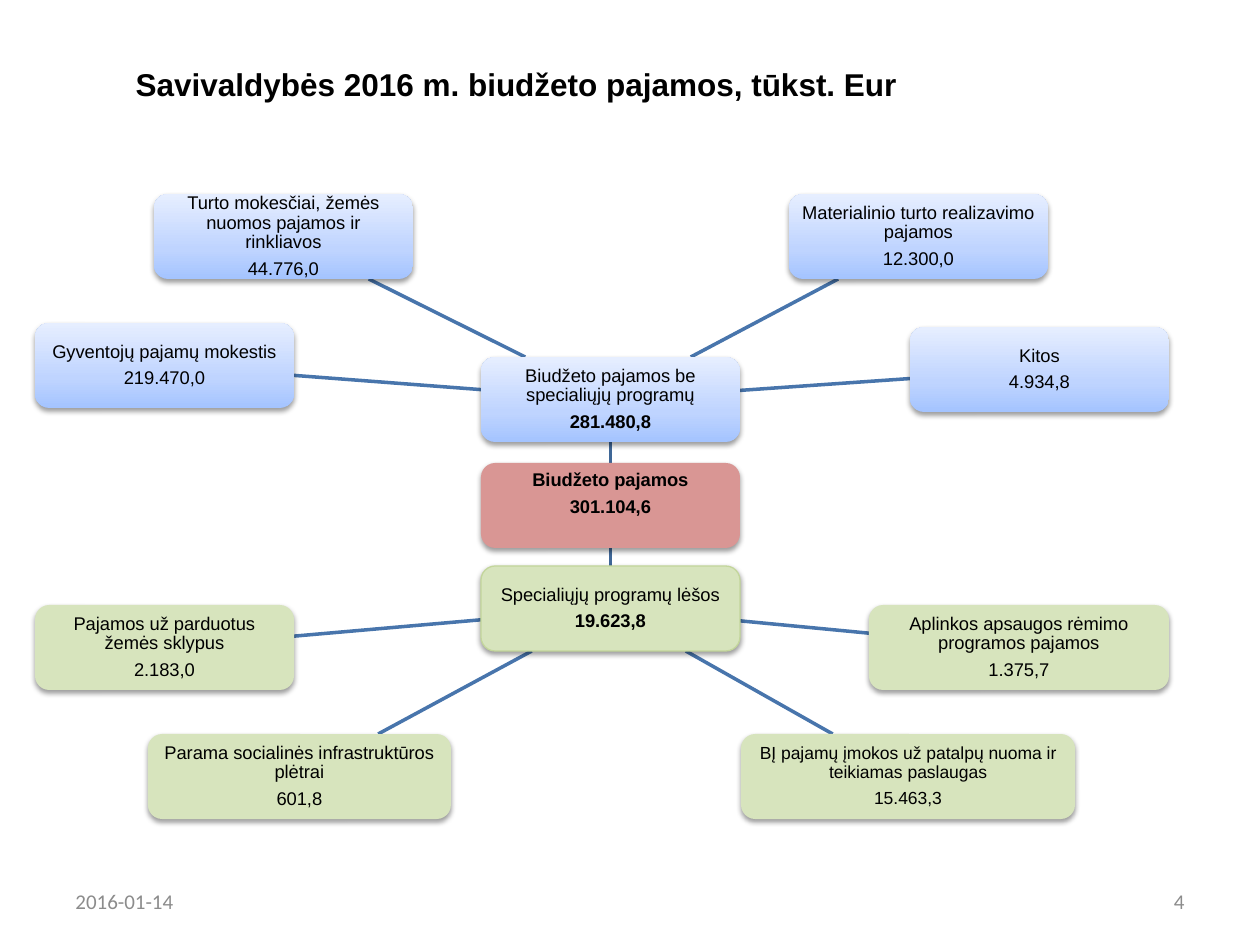
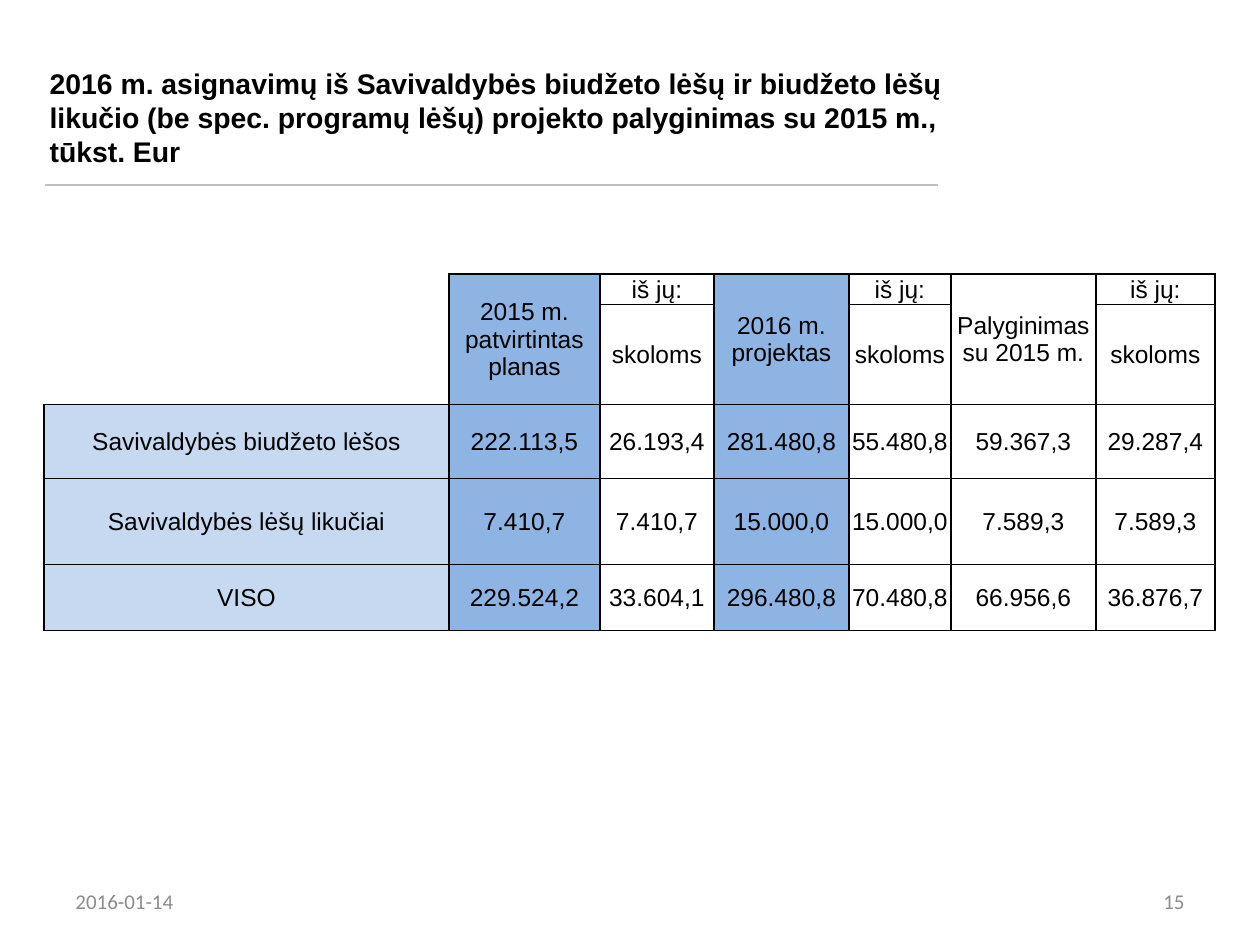
"""Build two slides on the 2016 municipal budget: an income map and a comparison table."""
from copy import deepcopy
from itertools import product

from lxml.etree import SubElement
from pptx import Presentation
from pptx.dml.color import RGBColor
from pptx.enum.shapes import MSO_CONNECTOR, MSO_SHAPE
from pptx.enum.text import MSO_ANCHOR, MSO_AUTO_SIZE, PP_ALIGN
from pptx.oxml.ns import qn
from pptx.util import Pt

PX = 914400 / 126
BLACK, GREY, RULE = "000000", "8C8C8C", "BFBFBF"
SPOKE, TRUNK = "4875AC", "3F6797"
ROSE, GREEN, GREEN_EDGE = "D99694", "D7E4BD", "C3D69B"
SKY = [("A4C4FF", 0), ("BFD4FF", 0.35), ("E6EEFF", 1)]
LABEL_BLUE, YEAR_BLUE = "C6D9F1", "8EB4E3"

DATE = "2016-01-14"
INCOME_TITLE = dict(text="Savivaldybės 2016 m. biudžeto pajamos, tūkst. Eur",
                    area=(123, 16, 883, 135), size=18, page="4")
COMPARISON_TITLE = dict(
    text="2016 m. asignavimų iš Savivaldybės biudžeto lėšų ir biudžeto lėšų likučio "
         "(be spec. programų lėšų) projekto palyginimas su 2015 m., tūkst. Eur",
    area=(37, 66, 953, 103), size=16.2, page="15")

BOX_WIDTH, BOX_HEIGHT = 259, 85
TOTAL = dict(label="Biudžeto pajamos", value="301.104,6", at=(481, 463), bold=(True, True),
             fill=ROSE, lift=22)
BRANCHES = [
    (dict(label="Biudžeto pajamos be specialiųjų programų", value="281.480,8",
          at=(481, 357), bold=(False, True), fill=SKY), [
        dict(label="Gyventojų pajamų mokestis", value="219.470,0", at=(35, 323)),
        dict(label="Turto mokesčiai, žemės nuomos pajamos ir rinkliavos",
             value="44.776,0", at=(154, 194)),
        dict(label="Materialinio turto realizavimo pajamos", value="12.300,0", at=(789, 194)),
        dict(label="Kitos", value="4.934,8", at=(910, 327)),
    ]),
    (dict(label="Specialiųjų programų lėšos", value="19.623,8",
          at=(481, 566), bold=(False, True), fill=GREEN, edge=GREEN_EDGE), [
        dict(label="Aplinkos apsaugos rėmimo programos pajamos", value="1.375,7",
             at=(869, 605), width=300),
        dict(label="BĮ pajamų įmokos už patalpų nuoma ir teikiamas paslaugas",
             value="15.463,3", at=(741, 734), width=334, size=10),
        dict(label="Parama socialinės infrastruktūros plėtrai", value="601,8",
             at=(148, 734), width=303),
        dict(label="Pajamos už parduotus žemės sklypus", value="2.183,0", at=(35, 605)),
    ]),
]

COLUMNS = [405, 151, 114, 135, 102, 145, 119]
ROWS = [30, 100, 74, 86, 66]
BUDGET = [
    ["", "2015 m. patvirtintas planas", "iš jų:", "2016 m. projektas", "iš jų:",
     "Palyginimas su 2015 m.", "iš jų:"],
    ["", "", "skoloms", "", "skoloms", "", "skoloms"],
    ["Savivaldybės biudžeto lėšos", "222.113,5", "26.193,4", "281.480,8", "55.480,8",
     "59.367,3", "29.287,4"],
    ["Savivaldybės lėšų likučiai", "7.410,7", "7.410,7", "15.000,0", "15.000,0",
     "7.589,3", "7.589,3"],
    ["VISO", "229.524,2", "33.604,1", "296.480,8", "70.480,8", "66.956,6", "36.876,7"],
]
MERGED_COLUMNS, YEAR_COLUMNS = (0, 1, 3, 5), (1, 3)


def px(*lengths):
    """Turn pixel lengths into EMU."""
    return [round(length * PX) for length in lengths]


def rgb(code):
    """Turn a hex string into a colour."""
    return RGBColor.from_string(code)


def assign(target, values):
    """Set the attributes of target from a dict."""
    for name, value in values.items():
        setattr(target, name, value)


def write(paragraph, text, size, color=BLACK, face="Arial", bold=False, **layout):
    """Put one formatted run in a paragraph."""
    assign(paragraph, layout)
    run = paragraph.add_run()
    run.text = text
    assign(run.font, dict(size=Pt(size), name=face, bold=bold))
    run.font.color.rgb = rgb(color)


def add_line(slide, start, end, color, weight):
    """Draw a straight line without a shadow."""
    line = slide.shapes.add_connector(MSO_CONNECTOR.STRAIGHT, *px(*start, *end))
    line.line.color.rgb = rgb(color)
    line.line.width = Pt(weight)
    SubElement(line._element.spPr, qn("a:effectLst"))


def start_slide(deck, text, area, size, page):
    """Add a slide with its title, date and page number."""
    slide = deck.slides.add_slide(deck.slide_layouts[5])
    title = slide.shapes.title
    assign(title, dict(zip(("left", "top", "width", "height"), px(*area))))
    assign(title.text_frame, dict(word_wrap=True, auto_size=MSO_AUTO_SIZE.NONE,
                                  vertical_anchor=MSO_ANCHOR.MIDDLE))
    write(title.text_frame.paragraphs[0], text, size, bold=True, alignment=PP_ALIGN.LEFT)
    for left, footer, side in ((63, DATE, PP_ALIGN.LEFT), (903, page, PP_ALIGN.RIGHT)):
        frame = slide.shapes.add_textbox(*px(left, 876, 294, 50)).text_frame
        assign(frame, dict(word_wrap=True, vertical_anchor=MSO_ANCHOR.MIDDLE))
        write(frame.paragraphs[0], footer, 12, GREY, "Calibri", alignment=side)
    return slide


def paint(shape, fill):
    """Fill a shape with one colour or with gradient stops."""
    if isinstance(fill, str):
        shape.fill.solid()
        shape.fill.fore_color.rgb = rgb(fill)
        return
    shape.fill.gradient()
    shape.fill.gradient_angle = 90
    stops = shape._element.spPr.find(qn("a:gradFill")).find(qn("a:gsLst"))
    stops.append(deepcopy(stops[-1]))
    for stop, (color, position) in zip(shape.fill.gradient_stops, fill):
        stop.color.rgb = rgb(color)
        stop.position = position


def cast_shadow(shape):
    """Give a shape a soft shadow below it."""
    shape.shadow.inherit = False
    effects = shape._element.spPr.find(qn("a:effectLst"))
    shadow = SubElement(effects, qn("a:outerShdw"), blurRad=str(Pt(3.1)), dist=str(Pt(1.6)),
                        dir="5400000", rotWithShape="0")
    color = SubElement(shadow, qn("a:srgbClr"), val=BLACK)
    SubElement(color, qn("a:alpha"), val="38000")


def add_income(slide, label, value, at, fill, width=BOX_WIDTH, size=10.5,
               bold=(False, False), edge=None, lift=0):
    """Draw one income box with its label and amount."""
    box = slide.shapes.add_shape(MSO_SHAPE.ROUNDED_RECTANGLE, *px(*at, width, BOX_HEIGHT))
    paint(box, fill)
    cast_shadow(box)
    if edge:
        box.line.color.rgb = rgb(edge)
        box.line.width = Pt(0.75)
    else:
        box.line.fill.background()
    frame = box.text_frame
    margins = zip(("margin_left", "margin_top", "margin_right", "margin_bottom"),
                  px(8, 8, 8, 8 + lift))
    assign(frame, dict(margins, word_wrap=True, vertical_anchor=MSO_ANCHOR.MIDDLE))
    for paragraph, text, heavy in zip((frame.paragraphs[0], frame.add_paragraph()),
                                      (label, value), bold):
        write(paragraph, text, size, bold=heavy, alignment=PP_ALIGN.CENTER,
              line_spacing=0.9, space_after=Pt(4))


def center(income):
    """Return the middle of an income box."""
    left, top = income["at"]
    return left + income.get("width", BOX_WIDTH) / 2, top + BOX_HEIGHT / 2


def edge_point(income, other):
    """Return where the line from one box's middle to another's leaves the first."""
    (x, y), (other_x, other_y) = center(income), center(other)
    dx, dy = other_x - x, other_y - y
    half_width = income.get("width", BOX_WIDTH) / 2
    share = 1 / max(abs(dx) / half_width, abs(dy) / (BOX_HEIGHT / 2))
    return x + dx * share, y + dy * share


def join(slide, one, other, color):
    """Connect the facing edges of two income boxes."""
    add_line(slide, edge_point(one, other), edge_point(other, one), color, 2)


def build_income_map(deck):
    """Draw the total, its two branches and their sources."""
    slide = start_slide(deck, **INCOME_TITLE)
    for branch, sources in BRANCHES:
        join(slide, TOTAL, branch, TRUNK)
        for source in sources:
            join(slide, branch, source, SPOKE)
    add_income(slide, **TOTAL)
    for branch, sources in BRANCHES:
        add_income(slide, **branch)
        for source in sources:
            add_income(slide, fill=branch["fill"], **source)


def outline(cell, sides):
    """Draw black borders on the given sides of a cell."""
    for side in sides:
        border = SubElement(cell._tc.get_or_add_tcPr(), qn(f"a:ln{side}"), w=str(Pt(1)))
        SubElement(SubElement(border, qn("a:solidFill")), qn("a:srgbClr"), val=BLACK)


def build_comparison(deck):
    """Draw the table that compares 2016 with 2015."""
    slide = start_slide(deck, **COMPARISON_TITLE)
    add_line(slide, (45, 185), (938, 185), RULE, 1.5)
    table = slide.shapes.add_table(len(ROWS), len(COLUMNS),
                                   *px(44, 274, sum(COLUMNS), sum(ROWS))).table
    assign(table, dict(first_row=False, horz_banding=False))
    for column, width in zip(table.columns, px(*COLUMNS)):
        column.width = width
    for row, height in zip(table.rows, px(*ROWS)):
        row.height = height
    for r, c in product(range(len(ROWS)), range(len(COLUMNS))):
        cell = table.cell(r, c)
        corner = c == 0 and r < 2
        outline(cell, "RB" if corner else "LRTB")
        margins = zip(("margin_left", "margin_top", "margin_right", "margin_bottom"),
                      px(1, 1, 1, 0))
        assign(cell, dict(margins, vertical_anchor=MSO_ANCHOR.MIDDLE))
        if corner or c not in (0, *YEAR_COLUMNS):
            cell.fill.background()
        else:
            cell.fill.solid()
            cell.fill.fore_color.rgb = rgb(YEAR_BLUE if c in YEAR_COLUMNS else LABEL_BLUE)
        if BUDGET[r][c]:
            write(cell.text_frame.paragraphs[0], BUDGET[r][c], 14, alignment=PP_ALIGN.CENTER)
    for c in MERGED_COLUMNS:
        table.cell(0, c).merge(table.cell(1, c))


def main():
    """Build and save the deck."""
    deck = Presentation()
    deck.slide_width, deck.slide_height = px(1260, 945)
    build_income_map(deck)
    build_comparison(deck)
    deck.save("out.pptx")


if __name__ == "__main__":
    main()
